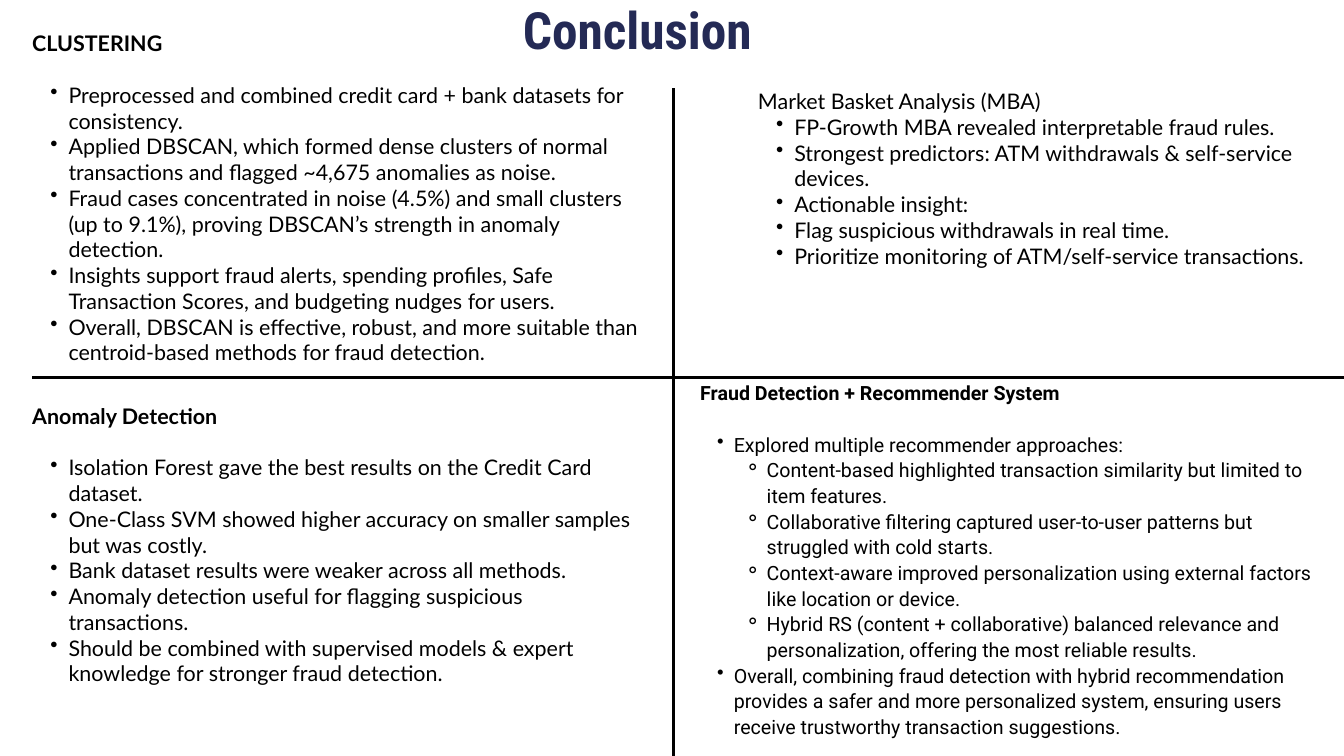
from lxml import etree
from pptx import Presentation
from pptx.dml.color import RGBColor
from pptx.enum.shapes import MSO_CONNECTOR
from pptx.enum.text import MSO_AUTO_SIZE
from pptx.oxml.ns import qn
from pptx.util import Inches, Pt

STRAIGHT = MSO_CONNECTOR.STRAIGHT
FIT_TEXT = MSO_AUTO_SIZE.SHAPE_TO_FIT_TEXT
BLACK = RGBColor(0x00, 0x00, 0x00)
NAVY = RGBColor(0x24, 0x2A, 0x55)

# font, size and line pitch in points
TITLE = ("Roboto Condensed", 55, 60.5)
LATO = ("Lato", 23, 27.6)
ROBOTO = ("Roboto", 21, 27.5)

# level: bullet, left margin, hanging indent in inches
LATO_BULLETS = {1: ("•", 0.54, 0.27)}
ROBOTO_BULLETS = {1: ("•", 0.5, 0.25), 2: ("⚬", 0.99, 0.33)}

CLUSTERING = [
    (1, "Preprocessed and combined credit card + bank datasets for consistency."),
    (1, "Applied DBSCAN, which formed dense clusters of normal transactions and flagged ~4,675 anomalies as noise."),
    (1, "Fraud cases concentrated in noise (4.5%) and small clusters (up to 9.1%), proving DBSCAN’s strength in anomaly detection."),
    (1, "Insights support fraud alerts, spending profiles, Safe Transaction Scores, and budgeting nudges for users."),
    (1, "Overall, DBSCAN is effective, robust, and more suitable than centroid-based methods for fraud detection."),
]
BASKET = [
    (1, "FP-Growth MBA revealed interpretable fraud rules."),
    (1, "Strongest predictors: ATM withdrawals & self-service devices."),
    (1, "Actionable insight:"),
    (1, "Flag suspicious withdrawals in real time."),
    (1, "Prioritize monitoring of ATM/self-service transactions."),
]
ANOMALY = [
    (1, "Isolation Forest gave the best results on the Credit Card dataset."),
    (1, "One-Class SVM showed higher accuracy on smaller samples but was costly."),
    (1, "Bank dataset results were weaker across all methods."),
    (1, "Anomaly detection useful for flagging suspicious transactions."),
    (1, "Should be combined with supervised models & expert knowledge for stronger fraud detection."),
]
RECOMMENDER = [
    (1, "Explored multiple recommender approaches:"),
    (2, "Content-based highlighted transaction similarity but limited to item features."),
    (2, "Collaborative filtering captured user-to-user patterns but struggled with cold starts."),
    (2, "Context-aware improved personalization using external factors like location or device."),
    (2, "Hybrid RS (content + collaborative) balanced relevance and personalization, offering the most reliable results."),
    (1, "Overall, combining fraud detection with hybrid recommendation provides a safer and more personalized system, ensuring users receive trustworthy transaction suggestions."),
]


def add_line(p, text, style, bold=False, color=BLACK):
    font, size, pitch = style
    p.line_spacing = Pt(pitch)
    r = p.add_run()
    r.text = text
    r.font.name = font
    r.font.size = Pt(size)
    r.font.bold = bold
    r.font.color.rgb = color


def set_bullet(p, level, bullets):
    char, margin, hang = bullets[level]
    p.level = level
    pPr = p._p.get_or_add_pPr()
    pPr.set("marL", str(Inches(margin)))
    pPr.set("indent", str(-Inches(hang)))
    etree.SubElement(pPr, qn("a:buChar")).set("char", char)


def add_text(s, box, style, heading=None, items=(), bullets=None,
             bold=True, gap=False, color=BLACK):
    """Heading, then bullets; gap leaves one line free between them."""
    tf = s.shapes.add_textbox(*map(Inches, box)).text_frame
    tf.word_wrap = True
    tf.auto_size = FIT_TEXT
    tf.margin_left = tf.margin_top = tf.margin_right = tf.margin_bottom = 0
    if heading:
        add_line(tf.paragraphs[0], heading, style, bold, color)
    for i, (level, text) in enumerate(items):
        p = tf.add_paragraph() if heading or i else tf.paragraphs[0]
        set_bullet(p, level, bullets)
        if gap and i == 0:
            p.space_before = Pt(style[2])
        add_line(p, text, style)


def add_divider(s, x1, y1, x2, y2):
    line = s.shapes.add_connector(STRAIGHT, *map(Inches, (x1, y1, x2, y2)))
    line.line.color.rgb = BLACK
    line.line.width = Pt(3)
    etree.SubElement(line._element.spPr, qn("a:effectLst"))


def build_conclusion(s):
    add_text(s, (7.78, 0.05, 6.38, 0.86), TITLE, "Conclusion", color=NAVY)
    add_text(s, (0.48, 0.45, 9.1, 5.25), LATO, "CLUSTERING",
             CLUSTERING, LATO_BULLETS, gap=True)
    add_text(s, (11.28, 1.31, 8.57, 3), LATO, "Market Basket Analysis (MBA)",
             BASKET, LATO_BULLETS, bold=False)
    add_divider(s, 10.02, 1.31, 10.02, 11.25)
    add_divider(s, 20, 5.62, 0.48, 5.62)
    add_text(s, (0.48, 6.76, 9.1, 3.74), LATO,
             items=ANOMALY, bullets=LATO_BULLETS)
    add_text(s, (10.42, 5.64, 9.43, 5.61), ROBOTO,
             "Fraud Detection + Recommender System",
             RECOMMENDER, ROBOTO_BULLETS, gap=True)
    add_text(s, (0.48, 6, 9.1, 0.38), LATO, "Anomaly Detection")


def main():
    prs = Presentation()
    prs.slide_width = Inches(20)
    prs.slide_height = Inches(11.25)
    build_conclusion(prs.slides.add_slide(prs.slide_layouts[6]))
    prs.save("out.pptx")


if __name__ == "__main__":
    main()
